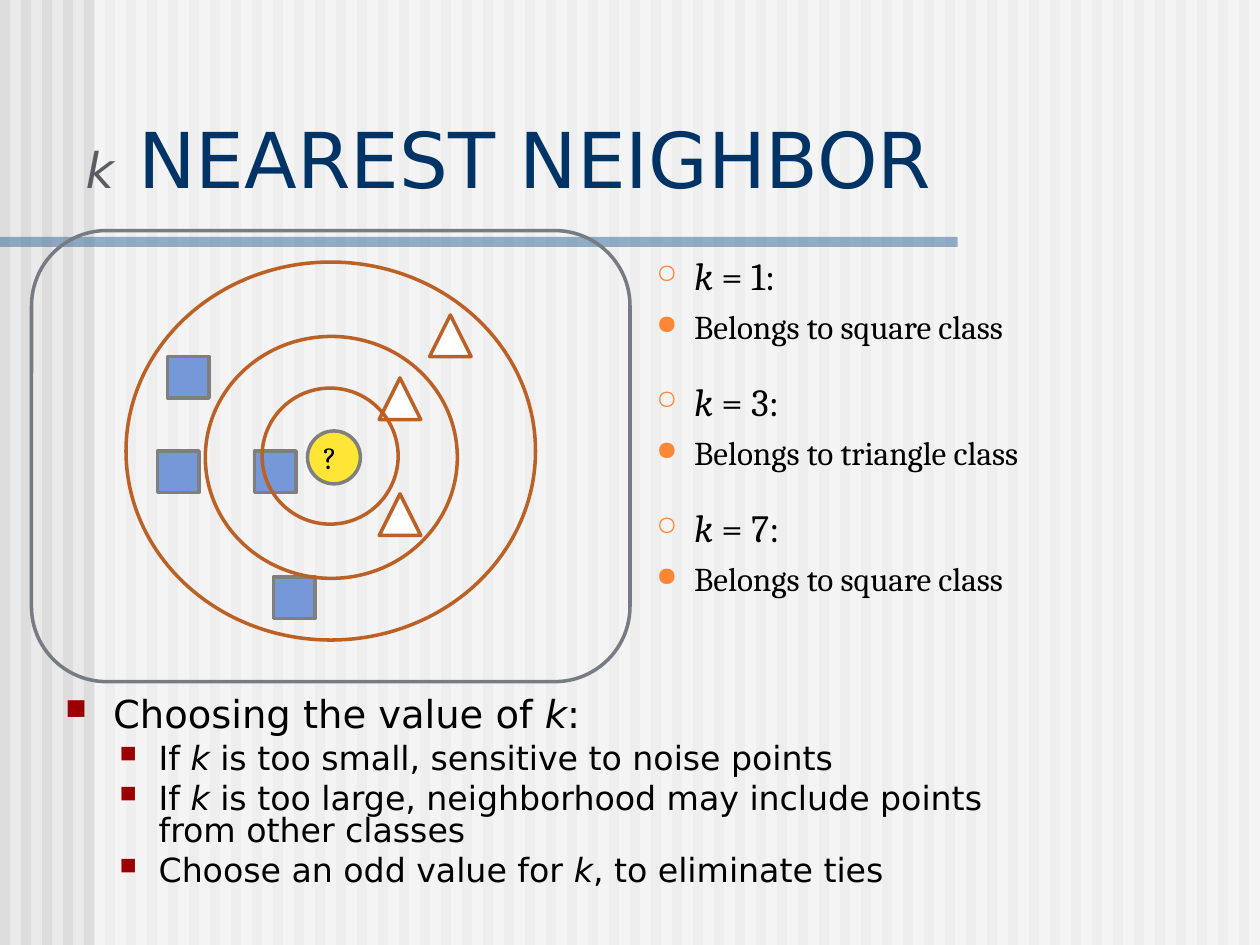
from dataclasses import dataclass

from lxml.etree import SubElement
from pptx import Presentation
from pptx.dml.color import RGBColor
from pptx.enum.shapes import MSO_SHAPE
from pptx.enum.text import MSO_ANCHOR, MSO_AUTO_SIZE, PP_ALIGN
from pptx.oxml.ns import qn
from pptx.util import Inches, Pt


@dataclass(frozen=True)
class Theme:
    background: str = "EAEAEA"
    stripe: str = "DDDDDD"
    white: str = "FFFFFF"
    rule: str = "336699"
    frame: str = "777C84"
    orange: str = "BB6126"
    square: str = "7598D9"
    edge: str = "7F7F7F"
    query: str = "FFE636"
    case_bullet: str = "FE8637"
    advice_bullet: str = "9A0000"
    text: str = "000000"
    title: str = "003366"
    title_k: str = "595D63"
    sans: str = "DejaVu Sans"
    serif: str = "Cambria"
    title_size: int = 44
    title_k_size: int = 28
    head_size: int = 22
    item_size: int = 19
    query_size: int = 18


theme = Theme()


def add_block(preset, place, fill=None, line=None, opacity=None):
    block = slide.shapes.add_shape(preset, *map(Inches, place))
    block.shadow.inherit = False
    if fill:
        block.fill.solid()
        block.fill.fore_color.rgb = RGBColor.from_string(fill)
        if opacity:
            color = block.fill._xPr.find(qn("a:solidFill"))[0]
            SubElement(color, qn("a:alpha"), val=str(opacity * 1000))
    else:
        block.fill.background()
    if line:
        block.line.color.rgb = RGBColor.from_string(line)
        block.line.width = Pt(2)
    else:
        block.line.fill.background()


def write_bullet(paragraph, marked, font, size, bullet, color, scale, left, hang):
    properties = paragraph._p.get_or_add_pPr()
    properties.set("marL", str(Inches(left)))
    properties.set("indent", str(-Inches(hang)))
    SubElement(SubElement(properties, qn("a:buClr")), qn("a:srgbClr"), val=color)
    SubElement(properties, qn("a:buSzPct"), val=str(scale * 1000))
    SubElement(properties, qn("a:buChar"), char=bullet)
    for index, part in enumerate(marked.split("*")):
        if part:
            run = paragraph.add_run()
            run.text = part
            run.font.name = font
            run.font.size = Pt(size)
            run.font.italic = index % 2 == 1
            run.font.color.rgb = RGBColor.from_string(theme.text)


presentation = Presentation()
presentation.slide_width = Inches(10)
presentation.slide_height = Inches(7.5)
slide = presentation.slides.add_slide(presentation.slide_layouts[5])
slide.background.fill.solid()
slide.background.fill.fore_color.rgb = RGBColor.from_string(theme.background)

for column in range(60):
    add_block(MSO_SHAPE.RECTANGLE, (column / 6, 0, 0.08, 7.5), theme.stripe)
add_block(MSO_SHAPE.RECTANGLE, (0.75, 0, 9.25, 7.5), theme.white, opacity=50)
add_block(MSO_SHAPE.RECTANGLE, (0, 1.88, 7.6, 0.08), theme.rule, opacity=50)

add_block(MSO_SHAPE.ROUNDED_RECTANGLE, (0.25, 1.83, 4.75, 3.58), line=theme.frame)
for left, top in [(2.17, 4.58), (1.33, 2.83), (1.25, 3.58), (2.02, 3.58)]:
    add_block(MSO_SHAPE.RECTANGLE, (left, top, 0.33, 0.33), theme.square, theme.edge)
for left, top in [(3.41, 2.5), (3.01, 3.92), (3.01, 3)]:
    add_block(MSO_SHAPE.ISOSCELES_TRIANGLE, (left, top, 0.33, 0.33), theme.white, theme.orange)
add_block(MSO_SHAPE.OVAL, (2.44, 3.42, 0.42, 0.42), theme.query, theme.edge)

query = slide.shapes.add_textbox(Inches(2.5), Inches(3.43), Inches(0.29), Inches(0.39)).text_frame
query.margin_left = query.margin_top = query.margin_bottom = Inches(0.04)
query.margin_right = Inches(0.09)
query.vertical_anchor = MSO_ANCHOR.MIDDLE
query.word_wrap = True
query.text = "?"
query.paragraphs[0].alignment = PP_ALIGN.CENTER
query_font = query.paragraphs[0].runs[0].font
query_font.name = theme.serif
query_font.size = Pt(theme.query_size)
query_font.color.rgb = RGBColor.from_string(theme.text)

for neighborhood in [(1, 2.08, 3.25, 3), (1.63, 2.67, 2, 1.92), (2.08, 3.08, 1.08, 1.08)]:
    add_block(MSO_SHAPE.OVAL, neighborhood, line=theme.orange)

for row, (k, winner) in enumerate([(1, "square"), (3, "triangle"), (7, "square")]):
    case = slide.shapes.add_textbox(Inches(5.17), Inches(2 + row), Inches(4.26), Inches(0.88)).text_frame
    case.word_wrap = True
    case.margin_left = case.margin_top = case.margin_bottom = 0
    case.margin_right = Inches(0.04)
    write_bullet(case.paragraphs[0], f"*k* = {k}:", theme.serif, theme.head_size,
                 "○", theme.case_bullet, 69, 0.34, 0.3)
    verdict = case.add_paragraph()
    write_bullet(verdict, f"Belongs to {winner} class", theme.serif, theme.item_size,
                 "●", theme.case_bullet, 80, 0.34, 0.3)
    verdict.space_before = Pt(4.5)

advice = slide.shapes.add_textbox(Inches(0.42), Inches(5.5), Inches(8.08), Inches(2)).text_frame
advice.word_wrap = True
advice.margin_right = Inches(0.14)
heading = advice.paragraphs[0]
write_bullet(heading, "Choosing the value of *k*:", theme.sans, theme.head_size,
             "■", theme.advice_bullet, 75, 0.38, 0.38)
heading.line_spacing = 0.8
for tip in [
    "If *k* is too small, sensitive to noise points",
    "If *k* is too large, neighborhood may include points from other classes",
    "Choose an odd value for *k*, to eliminate ties",
]:
    item = advice.add_paragraph()
    item.level = 1
    write_bullet(item, tip, theme.sans, theme.item_size,
                 "■", theme.advice_bullet, 70, 0.74, 0.31)
    item.line_spacing = 0.8
    item.space_before = Pt(4.8)

title = slide.shapes.title
slide.shapes._spTree.append(title._element)
title.left, title.top, title.width, title.height = map(Inches, (0.58, 0.79, 8.17, 0.92))
heading_frame = title.text_frame
heading_frame.auto_size = MSO_AUTO_SIZE.NONE
heading_frame.word_wrap = True
heading_frame.vertical_anchor = MSO_ANCHOR.MIDDLE
heading_frame.margin_right = Inches(0.14)
heading_frame.paragraphs[0].alignment = PP_ALIGN.LEFT
for words, size, color, italic in [
    ("k", theme.title_k_size, theme.title_k, True),
    (" NEAREST NEIGHBOR", theme.title_size, theme.title, False),
]:
    run = heading_frame.paragraphs[0].add_run()
    run.text = words
    run.font.name = theme.sans
    run.font.size = Pt(size)
    run.font.italic = italic
    run.font.color.rgb = RGBColor.from_string(color)

presentation.save("out.pptx")
